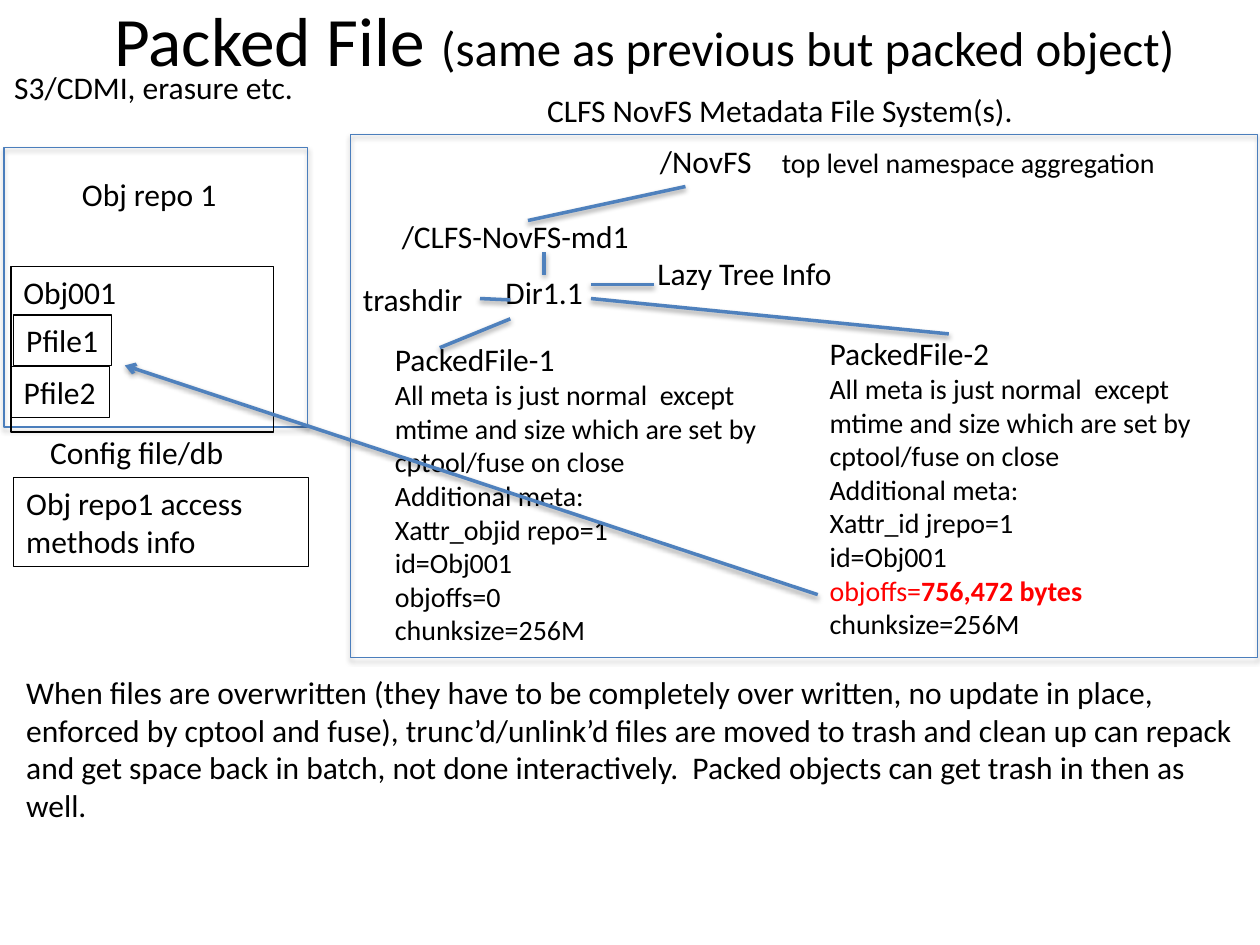
from lxml.etree import SubElement
from pptx import Presentation
from pptx.dml.color import RGBColor
from pptx.enum.shapes import MSO_CONNECTOR as CONN, MSO_SHAPE as SHAPE
from pptx.enum.text import MSO_ANCHOR as ANCHOR, PP_ALIGN as ALIGN
from pptx.oxml.ns import qn
from pptx.util import Pt

COLORS = {"text": "000000", "line": "4F81BD", "frame": "4B7EBC", "accent": "FF0000"}


def run(text, size=18, color="text", bold=False):
    return text, size, color, bold


class Board:
    """Draws styled elements on one slide, with lengths in points."""

    font = "Calibri"

    def __init__(self, slide):
        self.shapes = slide.shapes

    def rgb(self, name):
        return RGBColor.from_string(COLORS[name])

    def set_text(self, sp, paragraphs, align=ALIGN.LEFT, anchor=ANCHOR.TOP):
        tf = sp.text_frame
        tf.word_wrap = True
        tf.vertical_anchor = anchor
        for i, runs in enumerate(paragraphs):
            p = tf.add_paragraph() if i else tf.paragraphs[0]
            p.alignment = align
            for text, size, color, bold in runs:
                r = p.add_run()
                r.text = text
                r.font.name = self.font
                r.font.size = Pt(size)
                r.font.bold = bold
                r.font.color.rgb = self.rgb(color)

    def text(self, box, *paragraphs, **layout):
        sp = self.shapes.add_textbox(*map(Pt, box))
        self.set_text(sp, paragraphs, **layout)

    def rect(self, box, color="text"):
        sp = self.shapes.add_shape(SHAPE.RECTANGLE, *map(Pt, box))
        sp.shadow.inherit = False
        sp.fill.background()
        sp.line.color.rgb = self.rgb(color)
        sp.line.width = Pt(0.75)
        return sp

    def label_box(self, box, text):
        self.set_text(self.rect(box), [[run(text)]])

    def frame(self, box):
        sp = self.rect(box, "frame")
        self.cast_shadow(sp.element.spPr.find(qn("a:effectLst")), 1.8, 35)

    def line(self, start, end, arrow=False):
        s = self.shapes.add_connector(CONN.STRAIGHT, *map(Pt, start + end))
        s.line.color.rgb = self.rgb("line")
        s.line.width = Pt(2)
        if arrow:
            SubElement(s.element.spPr.find(qn("a:ln")), qn("a:tailEnd"), type="arrow")
        effects = SubElement(s.element.spPr, qn("a:effectLst"))
        self.cast_shadow(effects, 1.6, 38)

    def cast_shadow(self, effects, distance, alpha):
        shadow = SubElement(effects, qn("a:outerShdw"), blurRad=str(int(Pt(3.1))),
                            dist=str(int(Pt(distance))), dir="5400000", rotWithShape="0")
        color = SubElement(shadow, qn("a:srgbClr"), val=COLORS["text"])
        SubElement(color, qn("a:alpha"), val=str(alpha * 1000))


prs = Presentation()
prs.slide_width, prs.slide_height = Pt(720), Pt(540)
board = Board(prs.slides.add_slide(prs.slide_layouts[6]))

board.text((2, 0.7, 732.5, 43.2),
           [run("Packed File ", 39.6), run("(same as previous but packed object)", 27.9)],
           align=ALIGN.CENTER, anchor=ANCHOR.MIDDLE)

for box in [(2.2, 84.2, 173.5, 159.8), (200.2, 77, 518.4, 298.8)]:
    board.frame(box)

for box, text in [
    ((6.3, 152.4, 150, 94.5), "Obj001"),
    ((7.9, 180, 56, 29), "Pfile1"),
    ((6.5, 209.5, 56, 29), "Pfile2"),
    ((7.9, 272.9, 168.5, 51), "Obj repo1 access methods info"),
]:
    board.label_box(box, text)

for box, text in [
    ((0.7, 35.3, 174.2, 51), "S3/CDMI, erasure etc."),
    ((26.6, 96.5, 117.4, 29), "Obj repo 1"),
    ((19.4, 244, 117.4, 29), "Config file/db"),
    ((259.2, 48.2, 373, 29), "CLFS NovFS Metadata File System(s)."),
    ((264.2, 152.6, 93.6, 29), "Dir1.1"),
]:
    board.text(box, [run(text)], align=ALIGN.CENTER)

for box, text in [
    ((222.5, 120.2, 224.6, 29), "/CLFS-NovFS-md1"),
    ((200.2, 156.2, 73.4, 29), "trashdir"),
    ((368.6, 141.8, 120.2, 29), "Lazy Tree Info"),
    ((370, 77.8, 72, 29), "/NovFS"),
    ((7.9, 380.9, 705.6, 94.3),
     "When files are overwritten (they have to be completely over written, no update "
     "in place, enforced by cptool and fuse), trunc’d/unlink’d files are moved to trash "
     "and clean up can repack and get space back in batch, not done interactively.  "
     "Packed objects can get trash in then as well."),
]:
    board.text(box, [run(text)])
board.text((439.7, 79.4, 252, 26), [run("top level namespace aggregation", 16)])

for left, top, name, xattr, offset in [
    (218.6, 190.8, "PackedFile-1", "Xattr_objid repo=1", [run("objoffs=0", 16)]),
    (467, 187.2, "PackedFile-2", "Xattr_id jrepo=1",
     [run("objoffs=", 16, "accent"), run("756,472 bytes", 16, "accent", True)]),
]:
    details = ["All meta is just normal  except mtime and size which are set by "
               "cptool/fuse on close", "Additional meta:", xattr, "id=Obj001"]
    board.text((left, top, 244.8, 184.3), [run(name)],
               *[[run(detail, 16)] for detail in details],
               offset, [run("chunksize=256M", 16)])

for start, end in [
    ((391.7, 106.6), (301.7, 126)),
    ((311, 144), (311, 157)),
    ((291.6, 171.4), (274.3, 170.6)),
    ((337.7, 162.7), (373.7, 162.7)),
    ((291.6, 182.2), (251.3, 198.7)),
    ((337.7, 170.6), (542.2, 190.8)),
]:
    board.line(start, end)
board.line((467.3, 339.8), (71.3, 208.8), arrow=True)

prs.save("out.pptx")
